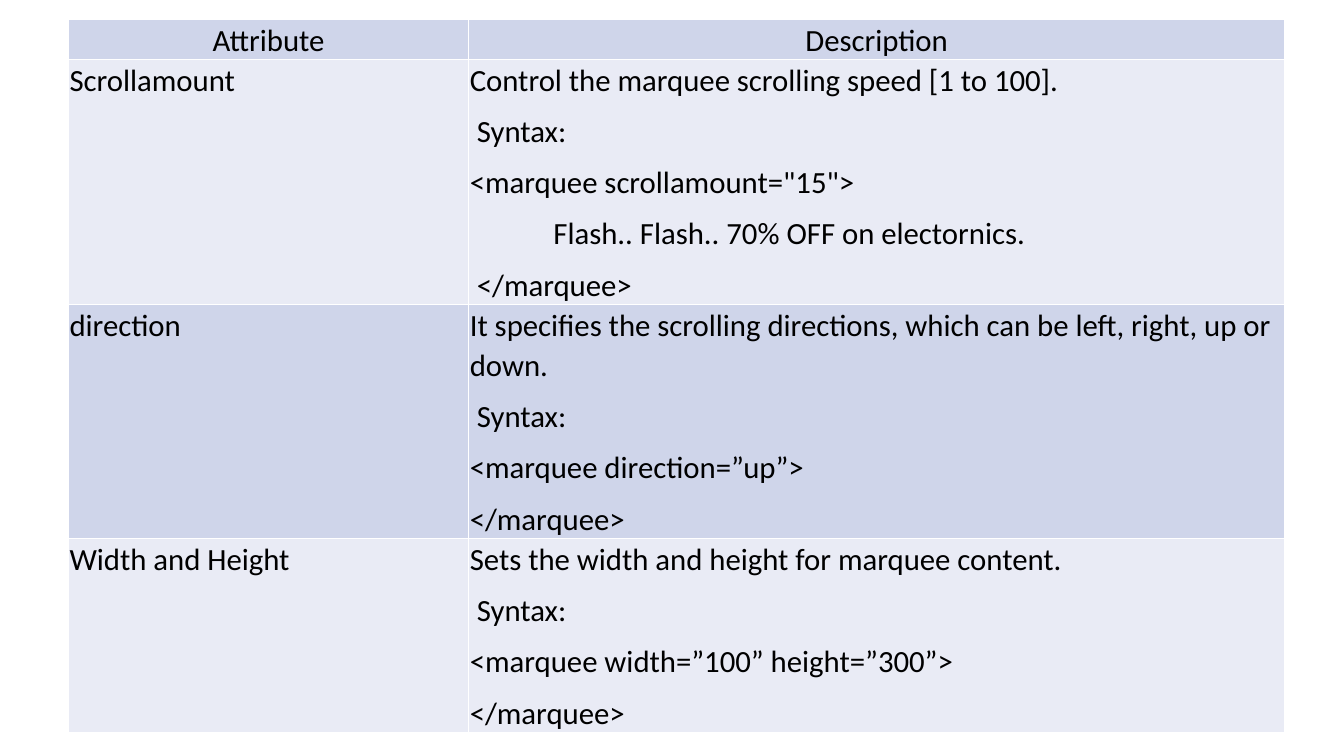
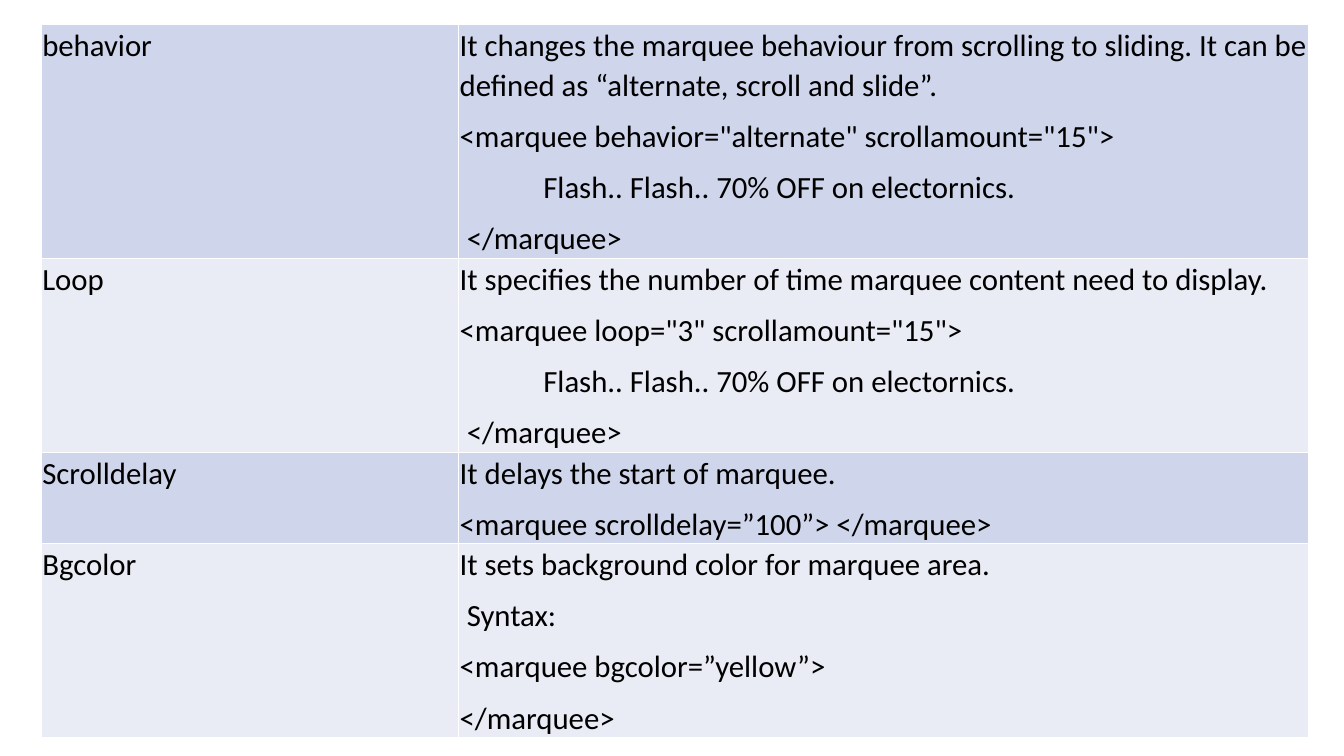
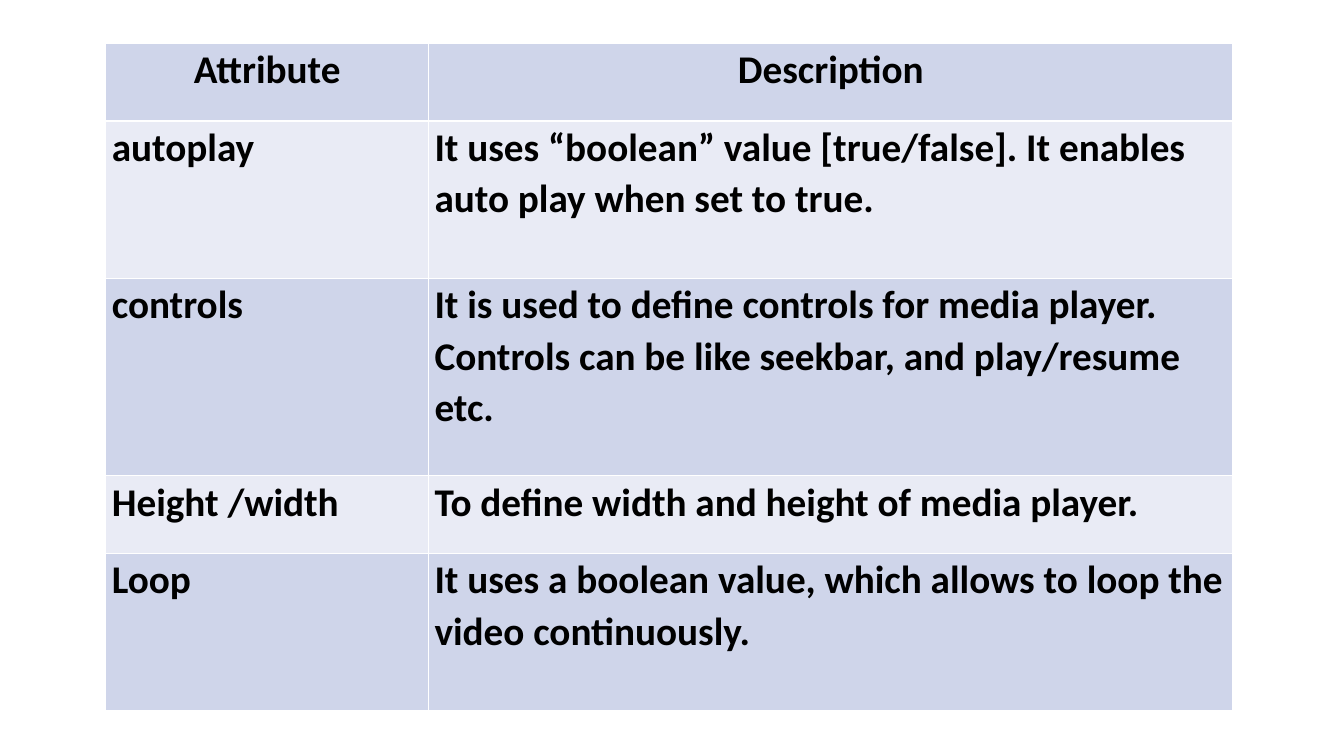
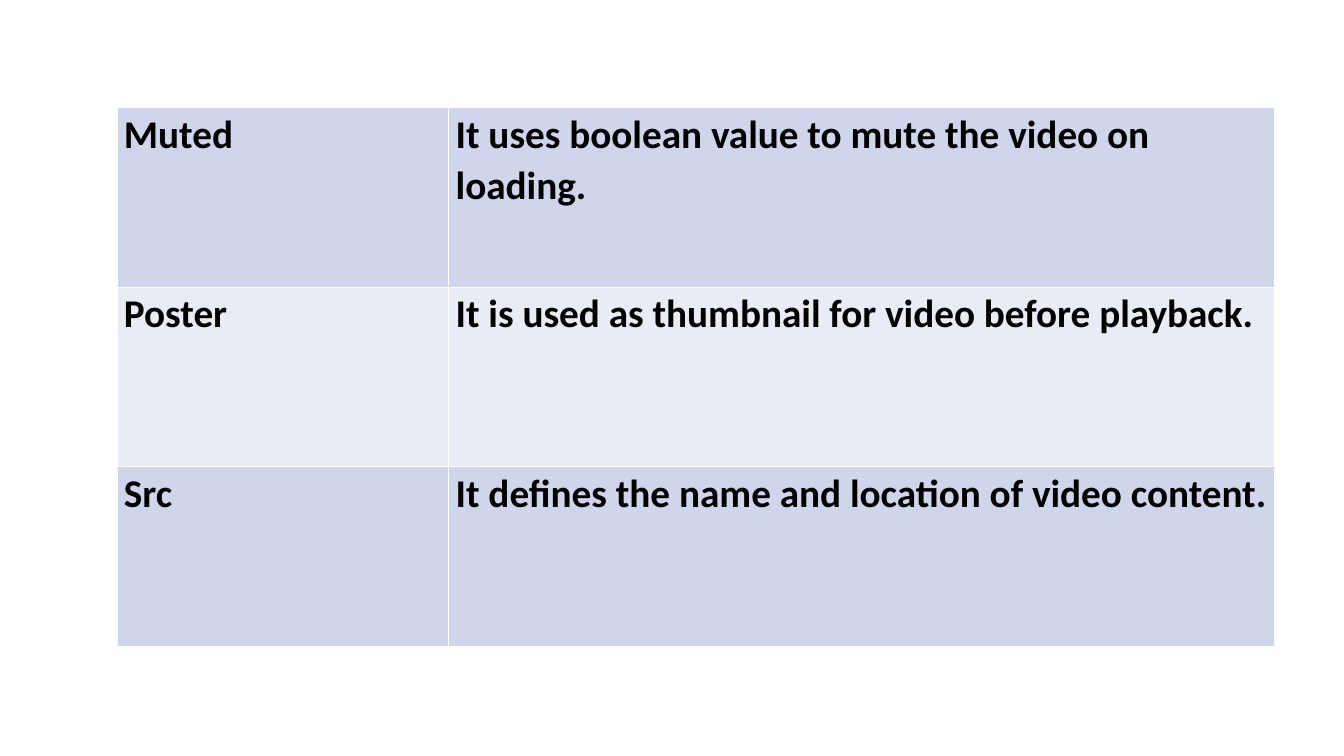
from lxml.etree import SubElement
from pptx import Presentation
from pptx.dml.color import RGBColor
from pptx.enum.text import PP_ALIGN
from pptx.oxml.ns import qn
from pptx.util import Inches, Pt

SMALL_INDENT = 0.07
CONTENT_INDENT = 0.83
HEADINGS = ("Attribute", ["Description"])
SYNTAX = ("Syntax:", SMALL_INDENT)
CLOSING = "</marquee>"
FLASH_SALE = [
    ("Flash.. Flash.. 70% OFF on electornics.", CONTENT_INDENT),
    (CLOSING, SMALL_INDENT),
]


def color(value):
    return RGBColor.from_string(value)


class TableDeck:
    font = "Calibri"
    text_color = "000000"
    border_color = "FFFFFF"
    band_colors = ("CFD5EA", "E9EBF5")
    line_spacing = 1.07
    space_after = Pt(8)

    def __init__(self):
        self.deck = Presentation()
        self.deck.slide_width = Inches(13.33)
        self.deck.slide_height = Inches(7.5)
        self.page = None

    def add_page(self):
        self.page = self.deck.slides.add_slide(self.deck.slide_layouts[6])

    def add_table(self, left, top, widths, heights, rows, size, inset, bold=False):
        frame = self.page.shapes.add_table(
            len(rows), len(widths), Inches(left), Inches(top),
            Inches(sum(widths)), Inches(sum(heights)))
        table = frame.table
        table.first_row = False
        table.horz_banding = False
        for column, width in zip(table.columns, widths):
            column.width = Inches(width)
        for index, (height, content) in enumerate(zip(heights, rows)):
            table.rows[index].height = Inches(height)
            name, description = content
            alignment = PP_ALIGN.CENTER if content is HEADINGS else PP_ALIGN.LEFT
            for column, lines in enumerate(([name], description)):
                cell = table.cell(index, column)
                self.style_cell(cell, self.band_colors[index % 2], inset)
                self.write_lines(cell.text_frame, lines, size, bold, alignment)

    def style_cell(self, cell, fill, inset):
        cell.margin_left = cell.margin_right = Inches(inset)
        cell.margin_top = cell.margin_bottom = 0
        properties = cell._tc.get_or_add_tcPr()
        for side in ("lnL", "lnR", "lnT", "lnB"):
            border = SubElement(properties, qn(f"a:{side}"), w=str(Pt(1)))
            solid = SubElement(border, qn("a:solidFill"))
            SubElement(solid, qn("a:srgbClr"), val=str(color(self.border_color)))
        cell.fill.solid()
        cell.fill.fore_color.rgb = color(fill)

    def write_lines(self, text_frame, lines, size, bold, alignment):
        for index, line in enumerate(lines):
            text, indent = (line, 0) if isinstance(line, str) else line
            para = text_frame.add_paragraph() if index else text_frame.paragraphs[0]
            para.text = text
            para.alignment = alignment
            para.line_spacing = self.line_spacing
            para.space_after = self.space_after
            if indent:
                para._p.get_or_add_pPr().set("marL", str(Inches(indent)))
            for span in para.runs:
                span.font.name = self.font
                span.font.size = Pt(size)
                span.font.bold = bold
                span.font.color.rgb = color(self.text_color)

    def save(self):
        self.deck.save("out.pptx")


slides = TableDeck()

slides.add_page()
slides.add_table(0.68, 0.19, [3.97, 8.09], [0.35, 2.34, 2.22, 1.93], [
    HEADINGS,
    ("Scrollamount", [
        "Control the marquee scrolling speed [1 to 100].",
        SYNTAX,
        '<marquee scrollamount="15">',
        *FLASH_SALE,
    ]),
    ("direction", [
        "It specifies the scrolling directions, which can be left, right, up or down.",
        SYNTAX,
        "<marquee direction=”up”>",
        CLOSING,
    ]),
    ("Width and Height", [
        "Sets the width and height for marquee content.",
        SYNTAX,
        "<marquee width=”100” height=”300”>",
        CLOSING,
    ]),
], size=22, inset=0.01)

slides.add_page()
slides.add_table(0.41, 0.24, [4.14, 8.43], [1.58, 1.54, 0.79, 1.37], [
    ("behavior", [
        "It changes the marquee behaviour from scrolling to sliding. "
        "It can be defined as “alternate, scroll and slide”.",
        '<marquee behavior="alternate" scrollamount="15">',
        *FLASH_SALE,
    ]),
    ("Loop", [
        "It specifies the number of time marquee content need to display.",
        '<marquee loop="3" scrollamount="15">',
        *FLASH_SALE,
    ]),
    ("Scrolldelay", [
        "It delays the start of marquee.",
        "<marquee scrolldelay=”100”> </marquee>",
    ]),
    ("Bgcolor", [
        "It sets background color for marquee area.",
        SYNTAX,
        "<marquee bgcolor=”yellow”>",
        CLOSING,
    ]),
], size=22, inset=0.01)

slides.add_page()
slides.add_table(1.05, 0.43, [3.2, 7.98], [0.77, 1.56, 1.96, 0.77, 1.56], [
    HEADINGS,
    ("autoplay", [
        "It uses “boolean” value [true/false]. It enables auto play when set to true."]),
    ("controls", [
        "It is used to define controls for media player. "
        "Controls can be like seekbar, and play/resume etc."]),
    ("Height /width", ["To define width and height of media player."]),
    ("Loop", ["It uses a boolean value, which allows to loop the video continuously."]),
], size=28, inset=0.06, bold=True)

slides.add_page()
slides.add_table(1.16, 1.07, [3.29, 8.19], [1.78] * 3, [
    ("Muted", ["It uses boolean value to mute the video on loading."]),
    ("Poster", ["It is used as thumbnail for video before playback."]),
    ("Src", ["It defines the name and location of video content."]),
], size=28, inset=0.07, bold=True)

slides.save()
